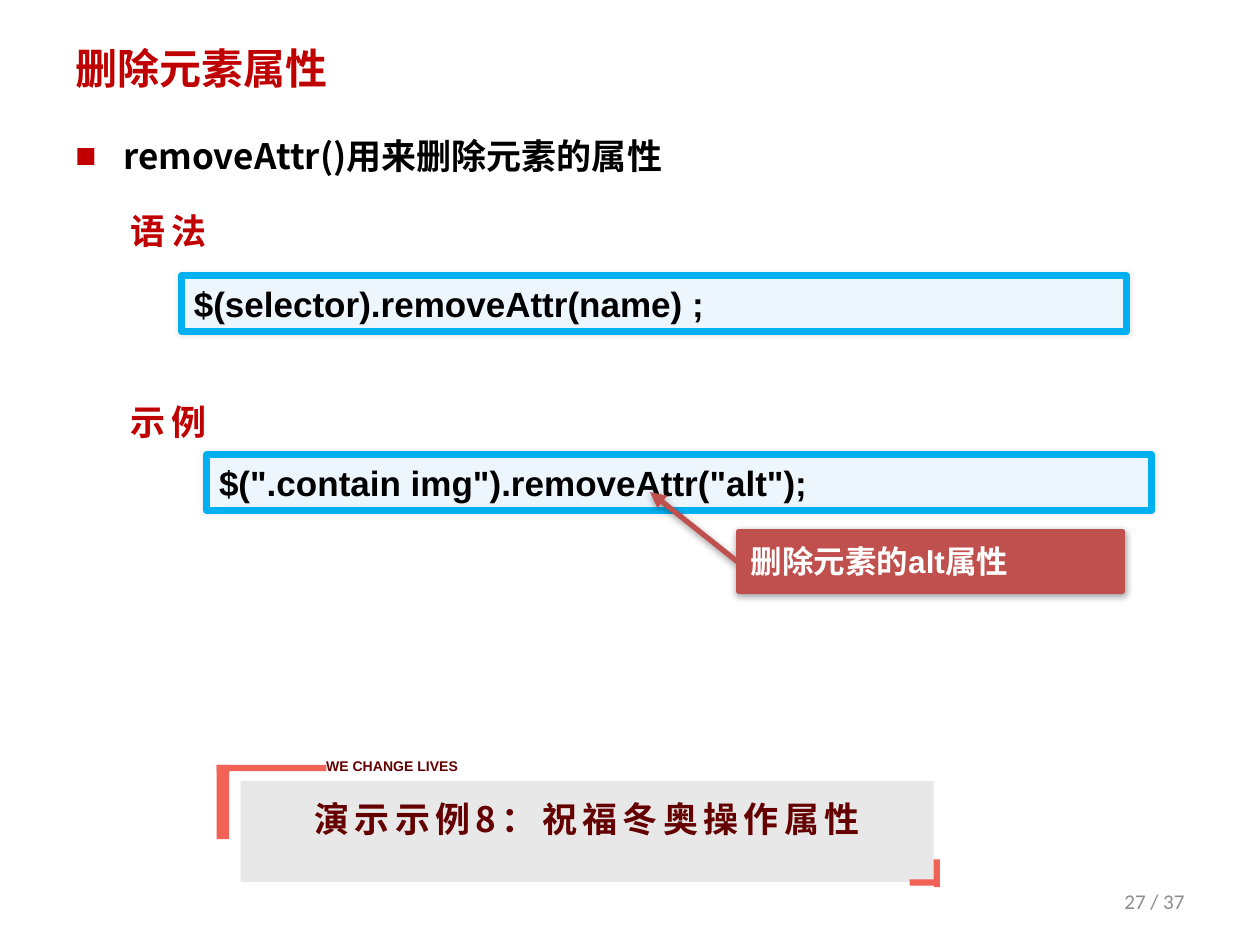
import pptx
import pptx.dml.color
import pptx.enum.shapes
import pptx.enum.text
import pptx.oxml
import pptx.oxml.ns
import pptx.util
from pptx.util import Inches

SHAPE = pptx.enum.shapes.MSO_SHAPE
ANCHOR = pptx.enum.text.MSO_ANCHOR
ALIGN = pptx.enum.text.PP_ALIGN
NAMESPACE = pptx.oxml.ns.nsdecls("a")
CJK, LATIN = "Noto Sans CJK SC", "Arial"

THEME = {
    "red": "C00000", "black": "000000", "white": "FFFFFF", "maroon": "640000",
    "gray": "8C8C8C", "code fill": "EDF5FD", "code line": "00B0F0",
    "callout": "C0504D", "banner": "E8E8E8", "accent": "F26257",
    "styles": {
        "title": {"size": 24, "name": CJK, "bold": True, "color": "red"},
        "body": {"size": 20, "name": CJK, "bold": True, "color": "black"},
        "label": {"size": 20, "name": CJK, "bold": True, "color": "red", "spacing": 3},
        "code": {"size": 20, "name": LATIN, "bold": True, "color": "black"},
        "callout": {"size": 18, "name": LATIN, "bold": True, "color": "white"},
        "banner": {"size": 20, "name": CJK, "bold": True, "color": "maroon", "spacing": 3},
        "slogan": {"size": 8, "name": LATIN, "bold": True, "color": "maroon"},
        "page": {"size": 12, "name": "Calibri", "bold": False, "color": "gray"},
    },
}

presentation = pptx.Presentation()
presentation.slide_width, presentation.slide_height = Inches(10), Inches(7.5)
slide = presentation.slides.add_slide(presentation.slide_layouts[6])


def write(shape, text, style, anchor=ANCHOR.TOP, align=ALIGN.LEFT, wrap=True):
    frame = shape.text_frame
    frame.word_wrap, frame.vertical_anchor = wrap, anchor
    paragraph = frame.paragraphs[0]
    paragraph.alignment = align
    run = paragraph.add_run()
    run.text = text
    values = THEME["styles"][style]
    formats = {"size": pptx.util.Pt(values["size"]), "name": values["name"], "bold": values["bold"]}
    for attribute, value in formats.items():
        setattr(run.font, attribute, value)
    run.font.color.rgb = pptx.dml.color.RGBColor.from_string(THEME[values["color"]])
    properties = run._r.get_or_add_rPr()
    if "spacing" in values:
        properties.set("spc", str(values["spacing"] * 100))
    properties.find(pptx.oxml.ns.qn("a:latin")).addnext(
        pptx.oxml.parse_xml(f'<a:ea {NAMESPACE} typeface="{CJK}"/>'))
    return paragraph


def add_box(kind, bounds, fill, line=None, width=0, shadow=None):
    """Add a filled shape; shadow is (opacity %, blur pt, distance pt, degrees)."""
    shape = slide.shapes.add_shape(kind, *map(Inches, bounds))
    shape.fill.solid()
    shape.fill.fore_color.rgb = pptx.dml.color.RGBColor.from_string(THEME[fill])
    if line:
        shape.line.color.rgb = pptx.dml.color.RGBColor.from_string(THEME[line])
        shape.line.width = pptx.util.Pt(width)
    else:
        shape.line.fill.background()
    shape.shadow.inherit = False
    if shadow:
        opacity, blur, distance, angle = shadow
        effects = shape._element.spPr.find(pptx.oxml.ns.qn("a:effectLst"))
        effects.append(pptx.oxml.parse_xml(
            f'<a:outerShdw {NAMESPACE} blurRad="{pptx.util.Pt(blur)}" '
            f'dist="{pptx.util.Pt(distance)}" dir="{angle * 60000}" rotWithShape="0">'
            f'<a:srgbClr val="{THEME["black"]}"><a:alpha val="{opacity * 1000}"/>'
            '</a:srgbClr></a:outerShdw>'))
    return shape


# Title and bullet
title = slide.shapes.add_textbox(Inches(0.5), Inches(0.3), Inches(9), Inches(0.48))
write(title, "删除元素属性", "title", ANCHOR.MIDDLE)

body = slide.shapes.add_textbox(Inches(0.5), Inches(1.02), Inches(9), Inches(5.68))
bullet = write(body, "removeAttr()用来删除元素的属性", "body")
bullet_properties = bullet._p.get_or_add_pPr()
bullet_properties.set("marL", str(Inches(0.38)))
bullet_properties.set("indent", str(-Inches(0.38)))
for element in (
    f'<a:buClr {NAMESPACE}><a:srgbClr val="{THEME["red"]}"/></a:buClr>',
    f'<a:buFont {NAMESPACE} typeface="{LATIN}"/>',
    f'<a:buChar {NAMESPACE} char="■"/>',
):
    bullet_properties.append(pptx.oxml.parse_xml(element))

# Syntax and example
for label, label_top, code, code_left, code_top in (
    ("语法", 1.61, "$(selector).removeAttr(name) ;", 1.44, 2.19),
    ("示例", 3.13, '$(".contain img").removeAttr("alt");', 1.64, 3.61),
):
    code_box = add_box(SHAPE.ROUNDED_RECTANGLE, (code_left, code_top, 7.5, 0.44),
                       "code fill", "code line", 4, (10, 3, 0, 0))
    code_box.adjustments[0] = 0
    write(code_box, code, "code")
    label_box = slide.shapes.add_textbox(Inches(0.94), Inches(label_top), Inches(1.02), Inches(0.44))
    write(label_box, label, "label")

# Callout pointing at the example
callout = add_box(SHAPE.LINE_CALLOUT_1, (5.86, 4.22, 3.05, 0.47),
                  "callout", "callout", 3, (40, 4, 1, 90))
for index, value in enumerate((-0.67, -0.23, 0.52, 0)):
    callout.adjustments[index] = value
callout.line._get_or_add_ln().append(pptx.oxml.parse_xml(f'<a:headEnd {NAMESPACE} type="triangle"/>'))
write(callout, "删除元素的alt属性", "callout", ANCHOR.MIDDLE)

# Demo banner with corner brackets
banner = add_box(SHAPE.RECTANGLE, (1.91, 6.2, 5.5, 0.8), "banner")
banner.text_frame.margin_top = Inches(0.13)
write(banner, "演示示例8：祝福冬奥操作属性", "banner", align=ALIGN.CENTER)
for bounds in (
    (1.72, 6.07, 0.87, 0.05), (1.72, 6.07, 0.1, 0.59),
    (7.41, 6.82, 0.05, 0.22), (7.22, 6.98, 0.21, 0.05),
):
    add_box(SHAPE.RECTANGLE, bounds, "accent")
slogan = slide.shapes.add_textbox(Inches(2.49), Inches(5.96), Inches(1.63), Inches(0.22))
write(slogan, "WE CHANGE LIVES", "slogan", wrap=False)

page_number = slide.shapes.add_textbox(Inches(7.17), Inches(6.95), Inches(2.33), Inches(0.4))
write(page_number, "27 / 37", "page", ANCHOR.MIDDLE, ALIGN.RIGHT)

presentation.save("out.pptx")
